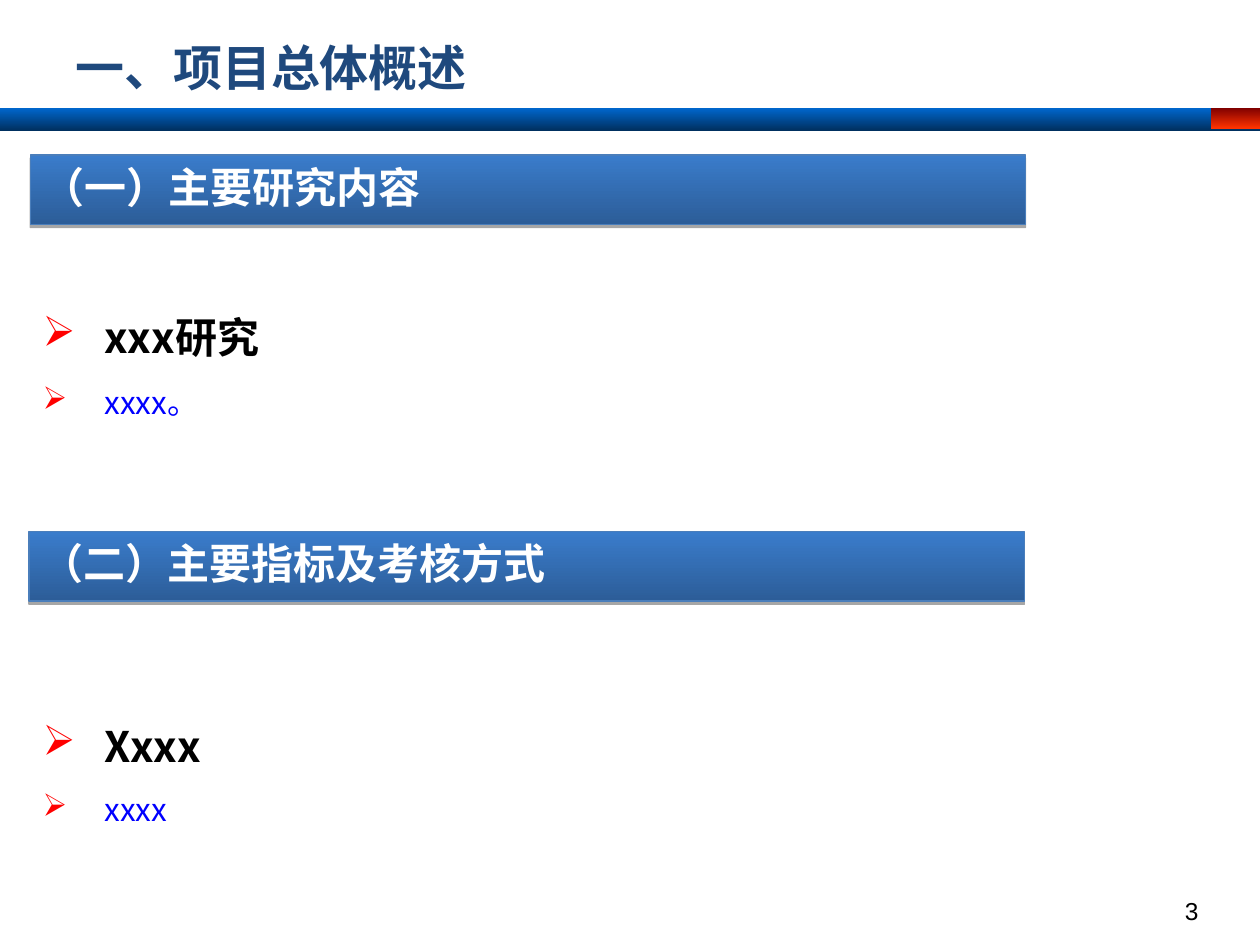
"""Build the project overview slide with two headed sections."""
import pptx
import pptx.util
import pptx.dml.color
import pptx.enum.shapes
import pptx.enum.text
import pptx.oxml
import pptx.oxml.ns
from pptx.util import Inches, Pt

CJK_FONT = "Noto Sans CJK SC"
ALIGN = pptx.enum.text.PP_ALIGN
ANCHOR = pptx.enum.text.MSO_ANCHOR

TITLE = "一、项目总体概述"
PAGE_NUMBER = "3"
RULES = [
    ((0, 0.86, 10, 0.18), ("0066CC", "002F5E")),
    ((9.61, 0.86, 0.39, 0.16), ("800000", "FF3300")),
]
BANNER_COLORS = ("3A7CCB", "2C5D98")
SECTIONS = [
    {
        "heading": "（一）主要研究内容",
        "banner": (0.24, 1.23, 7.9, 0.55),
        "body": (0.24, 2.43, 8.92, 0.96),
        "items": ("xxx研究", "xxxx。"),
        "line_spacing": Pt(28),
        "gap": 6,
    },
    {
        "heading": "（二）主要指标及考核方式",
        "banner": (0.23, 4.22, 7.9, 0.55),
        "body": (0.24, 5.47, 8.64, 1.15),
        "items": ("Xxxx", "xxxx"),
        "line_spacing": 1.5,
        "gap": 0,
    },
]
ITEM_STYLES = [(24, "000000", True), (18, "0000FF", False)]
SHADOW = (
    '<a:outerShdw %s blurRad="0" dist="22860" dir="5400000" rotWithShape="0">'
    '<a:srgbClr val="000000"><a:alpha val="35000"/></a:srgbClr></a:outerShdw>'
)
BULLET_PARTS = [
    '<a:buClr %s><a:srgbClr val="FF0000"/></a:buClr>',
    '<a:buChar %s char="➢"/>',
]


def rgb(value):
    return pptx.dml.color.RGBColor.from_string(value)


def element(template):
    return pptx.oxml.parse_xml(template % pptx.oxml.ns.nsdecls("a"))


def format_text(paragraph, size, color, bold=False, font_name=CJK_FONT):
    for run in paragraph.runs:
        font = run.font
        font.size, font.bold, font.name = Pt(size), bold, font_name
        font.color.rgb = rgb(color)
        east_asian = element(f'<a:ea %s typeface="{font_name}"/>')
        font._element.find(pptx.oxml.ns.qn("a:latin")).addnext(east_asian)


def add_gradient_bar(slide, box, colors):
    shape = slide.shapes.add_shape(
        pptx.enum.shapes.MSO_SHAPE.RECTANGLE, *map(Inches, box)
    )
    shape.shadow.inherit = False
    shape.line.fill.background()
    shape.fill.gradient()
    shape.fill.gradient_angle = 270
    for stop, color in zip(shape.fill.gradient_stops, colors):
        stop.color.rgb = rgb(color)
    return shape


def add_text(slide, box, text, anchor=ANCHOR.TOP):
    frame = slide.shapes.add_textbox(*map(Inches, box)).text_frame
    frame.word_wrap = True
    frame.vertical_anchor = anchor
    frame.text = text
    return frame


def add_banner(slide, box, heading):
    shape = add_gradient_bar(slide, box, BANNER_COLORS)
    shape.line.color.rgb = rgb("4A7EBB")
    shape.line.width = Pt(0.75)
    effects = shape._element.spPr.find(pptx.oxml.ns.qn("a:effectLst"))
    effects.append(element(SHADOW))
    frame = shape.text_frame
    frame.vertical_anchor = ANCHOR.TOP
    frame.text = heading
    frame.paragraphs[0].alignment = ALIGN.LEFT
    format_text(frame.paragraphs[0], 24, "FFFFFF", True)


def add_bullets(slide, section):
    frame = add_text(slide, section["body"], "\n".join(section["items"]), ANCHOR.MIDDLE)
    frame.auto_size = pptx.enum.text.MSO_AUTO_SIZE.SHAPE_TO_FIT_TEXT
    for index, paragraph in enumerate(frame.paragraphs):
        paragraph.alignment = ALIGN.JUSTIFY
        paragraph.line_spacing = section["line_spacing"]
        paragraph.space_before = Pt(section["gap"] * index)
        properties = paragraph._p.get_or_add_pPr()
        properties.set("marL", str(Inches(0.49)))
        properties.set("indent", str(-Inches(0.49)))
        for part in BULLET_PARTS:
            properties.append(element(part))
        format_text(paragraph, *ITEM_STYLES[index])


def main():
    presentation = pptx.Presentation()
    presentation.slide_width, presentation.slide_height = Inches(10), Inches(7.5)
    slide = presentation.slides.add_slide(presentation.slide_layouts[6])

    for box, colors in RULES:
        add_gradient_bar(slide, box, colors)
    title = add_text(slide, (0.5, 0.21, 9, 0.64), TITLE, ANCHOR.MIDDLE)
    format_text(title.paragraphs[0], 28, "1F497D", True)
    for section in SECTIONS:
        add_banner(slide, section["banner"], section["heading"])
        add_bullets(slide, section)
    number = add_text(slide, (7.28, 7.06, 2.33, 0.52), PAGE_NUMBER).paragraphs[0]
    number.alignment = ALIGN.RIGHT
    format_text(number, 14, "000000", font_name="Arial")

    presentation.save("out.pptx")


if __name__ == "__main__":
    main()
